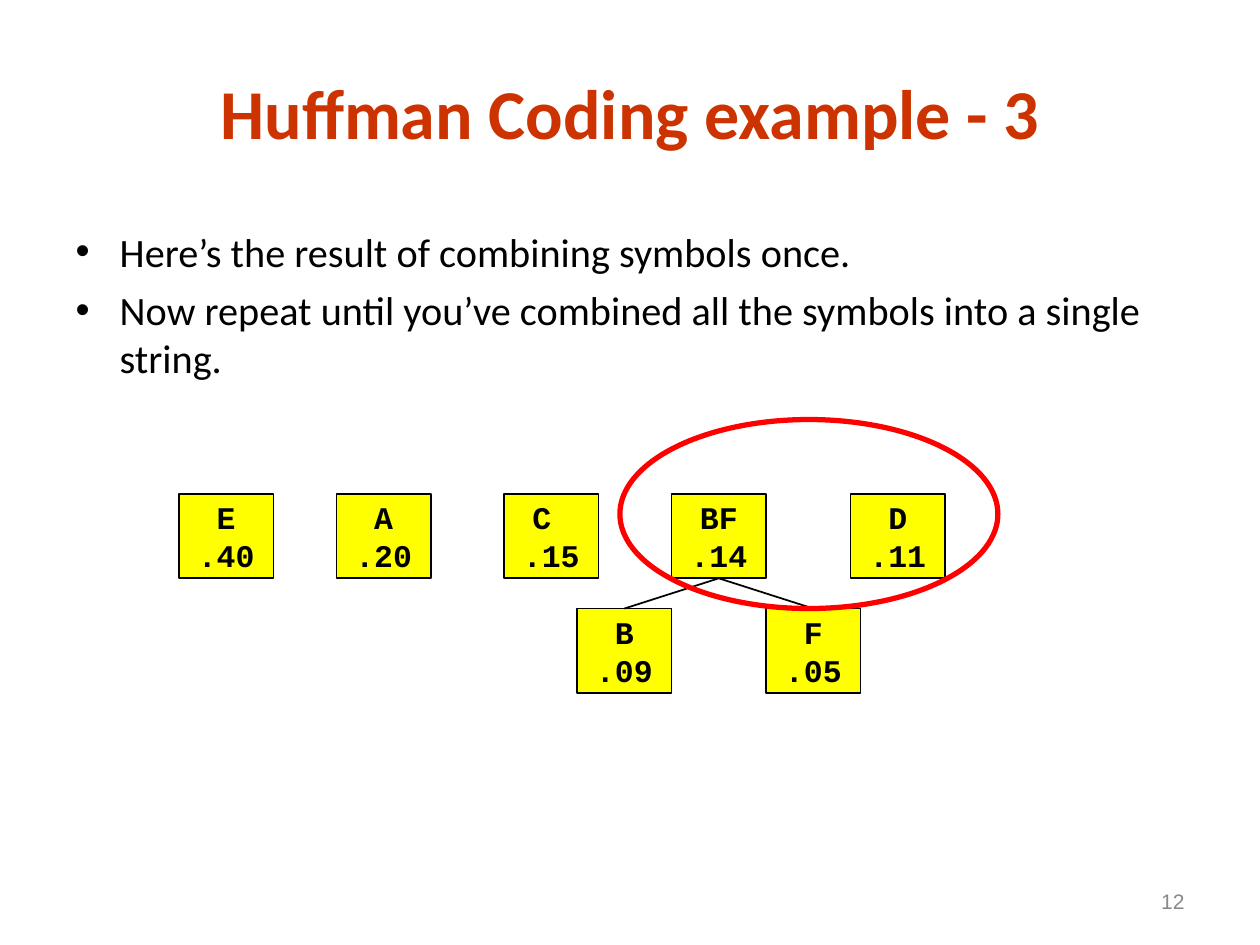
"""Build the slide showing the first combining step of Huffman coding."""
from dataclasses import dataclass

from lxml.etree import SubElement
from pptx import Presentation
from pptx.dml.color import RGBColor
from pptx.enum.shapes import MSO_CONNECTOR as Connector, MSO_SHAPE as Preset
from pptx.enum.text import MSO_ANCHOR as Anchor, MSO_AUTO_SIZE as AutoSize, PP_ALIGN as Align
from pptx.oxml.ns import qn
from pptx.shapes.autoshape import Shape
from pptx.slide import Slide
from pptx.util import Inches, Pt

COLORS = {
    "ink": "000000",
    "title": "CC3300",
    "node": "FFFF00",
    "highlight": "FF0000",
    "number": "898989",
}
NODE_WIDTH, NODE_HEIGHT = 0.75, 0.67
ROOT_TOP, LEAF_TOP = 3.92, 4.83


@dataclass(frozen=True)
class Node:
    symbol: str
    frequency: str
    left: float
    top: float = ROOT_TOP


@dataclass(frozen=True)
class TextStyle:
    font: str
    size: float
    color: str
    align: Align
    bold: bool = False


TITLE = TextStyle("Calibri", 40, "title", Align.CENTER, True)
BULLET = TextStyle("Calibri", 23, "ink", Align.LEFT)
NODE = TextStyle("Courier New", 18, "ink", Align.CENTER, True)
NUMBER = TextStyle("Arial", 12, "number", Align.RIGHT)

ROOTS = [
    Node("E", ".40", 1.42),
    Node("A", ".20", 2.67),
    Node("C ", ".15", 4),
    Node("D", ".11", 6.75),
]
COMBINED = Node("BF", ".14", 5.33)
LEAVES = [Node("B", ".09", 4.58, LEAF_TOP), Node("F", ".05", 6.08, LEAF_TOP)]
BULLETS = [
    "Here’s the result of combining symbols once.",
    "Now repeat until you’ve combined all the symbols into a single string.",
]


def rgb(name: str) -> RGBColor:
    return RGBColor.from_string(COLORS[name])


def write(shape: Shape, text: str, style: TextStyle, anchor: Anchor = Anchor.MIDDLE) -> None:
    frame = shape.text_frame
    frame.text = text
    frame.auto_size = AutoSize.NONE
    frame.vertical_anchor = anchor
    for paragraph in frame.paragraphs:
        paragraph.alignment = style.align
        for run in paragraph.runs:
            run.font.name = style.font
            run.font.size = Pt(style.size)
            run.font.bold = style.bold
            run.font.color.rgb = rgb(style.color)


def place(shape: Shape, left: float, top: float, width: float, height: float) -> None:
    shape.left, shape.top = Inches(left), Inches(top)
    shape.width, shape.height = Inches(width), Inches(height)


def add_bullets(body: Shape) -> None:
    place(body, 0.5, 1.42, 9, 1.66)
    write(body, "\n".join(BULLETS), BULLET, Anchor.TOP)
    body.text_frame.margin_top = Inches(0.38)
    for paragraph in body.text_frame.paragraphs:
        paragraph.space_before = Pt(0)
        paragraph.space_after = Pt(5.8)
        properties = paragraph._p.get_or_add_pPr()
        properties.set("marL", str(Inches(0.35)))
        properties.set("indent", str(Inches(-0.35)))


def add_node(slide: Slide, node: Node) -> Shape:
    box = slide.shapes.add_shape(
        Preset.RECTANGLE, Inches(node.left), Inches(node.top), Inches(NODE_WIDTH), Inches(NODE_HEIGHT)
    )
    box.shadow.inherit = False
    box.fill.solid()
    box.fill.fore_color.rgb = rgb("node")
    box.line.color.rgb = rgb("ink")
    box.line.width = Pt(1)
    write(box, f"{node.symbol}\n{node.frequency}", NODE)
    box.text_frame.word_wrap = False
    return box


def add_branch(slide: Slide, parent: Shape, child: Shape) -> None:
    branch = slide.shapes.add_connector(Connector.STRAIGHT, 0, 0, 0, 0)
    branch.begin_connect(parent, 2)
    branch.end_connect(child, 0)
    branch.line.color.rgb = rgb("ink")
    branch.line.width = Pt(1)
    SubElement(branch._element.spPr, qn("a:effectLst"))


def add_highlight(slide: Slide) -> None:
    ring = slide.shapes.add_shape(Preset.OVAL, Inches(4.92), Inches(3.33), Inches(3), Inches(1.5))
    ring.shadow.inherit = False
    ring.fill.background()
    ring.line.color.rgb = rgb("highlight")
    ring.line.width = Pt(3)


def main() -> None:
    deck = Presentation()
    deck.slide_width, deck.slide_height = Inches(10), Inches(7.5)
    slide = deck.slides.add_slide(deck.slide_layouts[1])

    title = slide.shapes.title
    place(title, 0.75, 0.5, 8.5, 0.77)
    write(title, "Huffman Coding example - 3", TITLE)
    add_bullets(slide.placeholders[1])

    for root in ROOTS:
        add_node(slide, root)
    combined = add_node(slide, COMBINED)
    for leaf in LEAVES:
        add_branch(slide, combined, add_node(slide, leaf))
    add_highlight(slide)

    number = slide.shapes.add_textbox(Inches(7.17), Inches(6.95), Inches(2.33), Inches(0.4))
    write(number, "12", NUMBER)
    number.text_frame.word_wrap = True
    deck.save("out.pptx")


if __name__ == "__main__":
    main()
